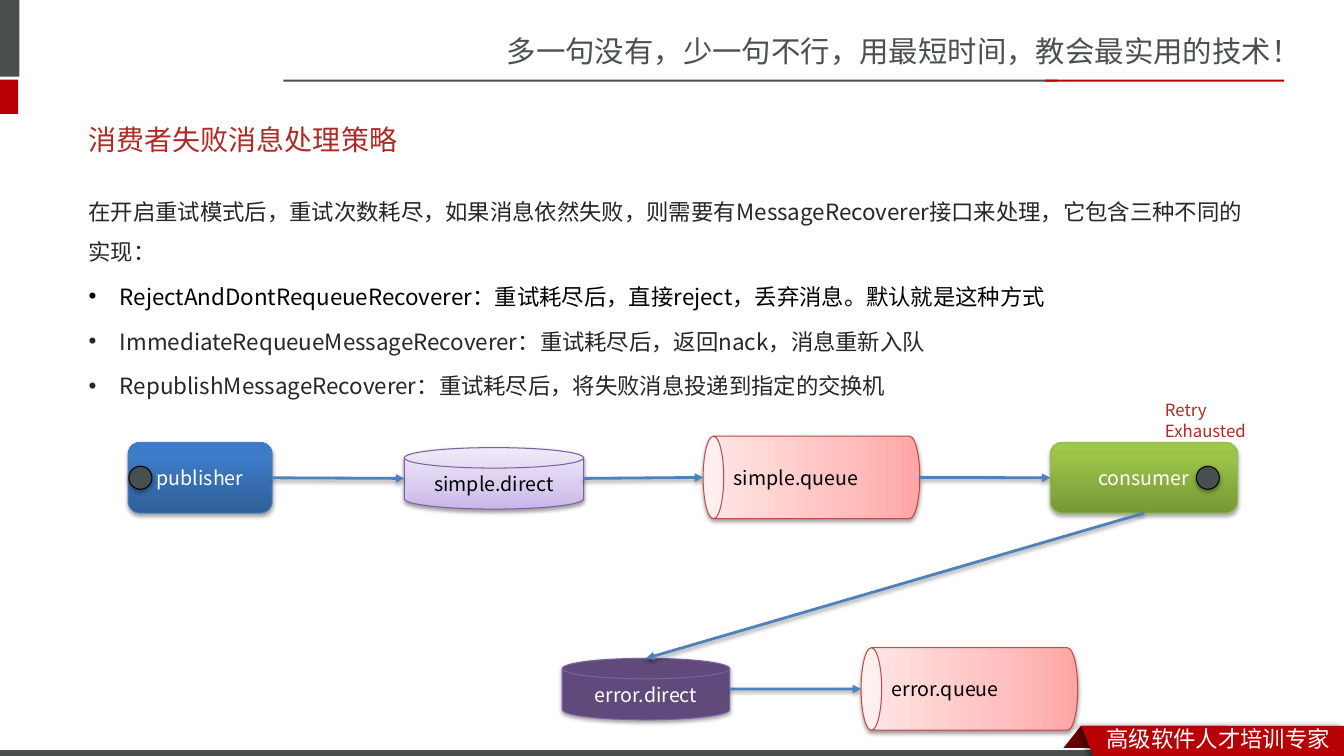
from collections import namedtuple
from dataclasses import dataclass

from lxml import etree
from pptx import Presentation
from pptx.dml.color import RGBColor
from pptx.enum.shapes import MSO_CONNECTOR, MSO_SHAPE
from pptx.enum.text import MSO_ANCHOR, MSO_AUTO_SIZE, PP_ALIGN
from pptx.oxml import parse_xml
from pptx.oxml.ns import nsdecls, qn
from pptx.util import Cm, Pt

STRAIGHT = MSO_CONNECTOR.STRAIGHT
RECT, ROUNDED, OVAL = MSO_SHAPE.RECTANGLE, MSO_SHAPE.ROUNDED_RECTANGLE, MSO_SHAPE.OVAL
CAN, DISK = MSO_SHAPE.CAN, MSO_SHAPE.FLOWCHART_MAGNETIC_DISK
SLANT = MSO_SHAPE.PARALLELOGRAM
TOP, MIDDLE = MSO_ANCHOR.TOP, MSO_ANCHOR.MIDDLE
LEFT, CENTER = PP_ALIGN.LEFT, PP_ALIGN.CENTER
NO_FIT = MSO_AUTO_SIZE.NONE
SIDE_TOP, SIDE_LEFT, SIDE_BOTTOM, SIDE_RIGHT = range(4)

Box = namedtuple("Box", "left top width height")
Node = namedtuple("Node", "shape box")
Shadow = namedtuple("Shadow", "alpha blur dist angle")


@dataclass(frozen=True)
class Theme:
    font: str = "Noto Sans CJK SC"
    slogan_size: float = 21
    title_size: float = 20
    body_size: float = 16
    node_size: float = 14
    note_size: float = 12
    gray: str = "49504F"
    red: str = "B60004"
    dark_red: str = "680000"
    title: str = "AD2A26"
    note: str = "AD2B26"
    body: str = "262626"
    black: str = "000000"
    white: str = "FFFFFF"
    arrow: str = "4F81BD"
    dot: str = "48504F"
    blue: tuple = ((0, "2F5F99"), (80, "3D7CC7"), (100, "3A7CCB"))
    blue_edge: str = "4B7EBC"
    green: tuple = ((0, "779737"), (80, "9BC348"), (100, "9DC746"))
    green_edge: str = "98B955"
    pink: tuple = ((0, "FFA6A5"), (35, "FFC0BF"), (100, "FFE7E7"))
    pink_edge: str = "BF4C48"
    lilac: tuple = ((0, "C9B5E8"), (35, "D8CBEE"), (100, "F0EAF9"))
    purple: str = "604A7B"
    purple_edge: str = "7D60A0"
    strong_shadow: Shadow = Shadow(35, 3.1, 1.8, 90)
    soft_shadow: Shadow = Shadow(38, 3.1, 1.6, 90)
    ribbon_shadow: Shadow = Shadow(40, 4, 3, 180)


THEME = Theme()


def place(box):
    return [Cm(length) for length in box]


def add_run(paragraph, text, size, color):
    run = paragraph.add_run()
    run.text = text
    run.font.name = THEME.font
    run.font.size = Pt(size)
    run.font.color.rgb = RGBColor.from_string(color)
    east_asian = etree.SubElement(run.font._element, qn("a:ea"))
    east_asian.set("typeface", THEME.font)


def cast_shadow(item, shadow):
    """Replace the inherited shadow; None leaves the item without one."""
    effects = etree.SubElement(item._element.spPr, qn("a:effectLst"))
    if shadow:
        effects.append(parse_xml(
            f'<a:outerShdw {nsdecls("a")} blurRad="{Pt(shadow.blur)}" dist="{Pt(shadow.dist)}" '
            f'dir="{shadow.angle * 60000}" rotWithShape="0"><a:srgbClr val="{THEME.black}">'
            f'<a:alpha val="{shadow.alpha * 1000}"/></a:srgbClr></a:outerShdw>'))


def paint(shape, fill, edge=None, shadow=None):
    """Fill with one colour, or with (percent, colour) stops from bottom to top."""
    if isinstance(fill, str):
        shape.fill.solid()
        shape.fill.fore_color.rgb = RGBColor.from_string(fill)
    else:
        stops = "".join(f'<a:gs pos="{percent * 1000}"><a:srgbClr val="{color}"/></a:gs>'
                        for percent, color in fill)
        geometry = shape._element.spPr.find(qn("a:prstGeom"))
        geometry.addnext(parse_xml(
            f'<a:gradFill {nsdecls("a")} rotWithShape="1"><a:gsLst>{stops}</a:gsLst>'
            '<a:lin ang="16200000" scaled="0"/></a:gradFill>'))
    if edge:
        shape.line.color.rgb = RGBColor.from_string(edge)
        shape.line.width = Pt(0.75)
    else:
        shape.line.fill.background()
    cast_shadow(shape, shadow)


def add_block(slide, kind, box, fill, edge=None, shadow=None):
    block = slide.shapes.add_shape(kind, *place(box))
    paint(block, fill, edge, shadow)
    return block


def add_label(slide, box, lines, size, color, wrap=True):
    frame = slide.shapes.add_textbox(*place(box)).text_frame
    frame.word_wrap = wrap
    for index, line in enumerate(lines):
        paragraph = frame.add_paragraph() if index else frame.paragraphs[0]
        add_run(paragraph, line, size, color)


def add_node(slide, kind, box, text, color, fill, edge, shadow):
    """Add a labelled node; a can is laid on its side within the box."""
    upright = box
    if kind == CAN:
        shift = (box.width - box.height) / 2
        upright = Box(box.left + shift, box.top - shift, box.height, box.width)
    shape = add_block(slide, kind, upright, fill, edge, shadow)
    frame = shape.text_frame
    frame.vertical_anchor = MIDDLE
    if kind == CAN:
        shape.rotation = 270
        frame._txBody.bodyPr.set("vert", "eaVert")
    frame.paragraphs[0].alignment = CENTER
    add_run(frame.paragraphs[0], text, THEME.node_size, color)
    return Node(shape, box)


def side_middle(box, side):
    across, down = ((0.5, 0), (0, 0.5), (0.5, 1), (1, 0.5))[side]
    return Cm(box.left + across * box.width), Cm(box.top + down * box.height)


def add_arrow(slide, source, target, leave=SIDE_RIGHT, arrive=SIDE_LEFT):
    arrow = slide.shapes.add_connector(
        STRAIGHT, *side_middle(source.box, leave), *side_middle(target.box, arrive))
    if source.shape.auto_shape_type == ROUNDED:
        arrow.begin_connect(source.shape, leave)
    if target.shape.auto_shape_type == ROUNDED:
        arrow.end_connect(target.shape, arrive)
    arrow.line.color.rgb = RGBColor.from_string(THEME.arrow)
    arrow.line.width = Pt(2)
    etree.SubElement(arrow.line._get_or_add_ln(), qn("a:tailEnd")).set("type", "triangle")
    cast_shadow(arrow, THEME.soft_shadow)


def add_frame(slide):
    """Draw the header and footer decoration."""
    fold = add_block(slide, SLANT, Box(26.64, 18.29, 4.27, 0.76), THEME.dark_red)
    fold.adjustments[0] = 0.796
    for box, color in (
        (Box(0, 18.85, 33.87, 0.28), THEME.white),
        (Box(-0.15, 0, 0.64, 1.93), THEME.gray),
        (Box(-0.15, 2.01, 0.61, 0.86), THEME.red),
        (Box(7.14, 2.01, 19.51, 0.05), THEME.gray),
        (Box(26.34, 2.01, 6.02, 0.05), THEME.red),
        (Box(0, 18.9, 27.91, 0.23), THEME.gray),
    ):
        add_block(slide, RECT, box, color)
    outline = slide.shapes.build_freeform(Cm(27.25), Cm(18.29))
    outline.add_line_segments([(Cm(33.87), Cm(18.29)), (Cm(33.87), Cm(19.15)), (Cm(27.58), Cm(19.13))])
    paint(outline.convert_to_shape(), THEME.red, shadow=THEME.ribbon_shadow)
    add_label(slide, Box(12.52, 0.71, 21.36, 1.19),
              ["多一句没有，少一句不行，用最短时间，教会最实用的技术！"], THEME.slogan_size, THEME.gray)
    add_label(slide, Box(27.64, 18.16, 6.22, 0.94), ["高级软件人才培训专家"], THEME.body_size, THEME.white)


def set_placeholder(holder, box, anchor):
    holder.left, holder.top, holder.width, holder.height = place(box)
    holder.text_frame.auto_size = NO_FIT
    holder.text_frame.vertical_anchor = anchor
    return holder.text_frame


def write_text(slide):
    title = set_placeholder(slide.shapes.title, Box(1.98, 2.79, 29.72, 1.45), MIDDLE).paragraphs[0]
    title.alignment = LEFT
    add_run(title, "消费者失败消息处理策略", THEME.title_size, THEME.title)
    body = set_placeholder(slide.placeholders[1], Box(1.98, 4.52, 29.72, 6.99), TOP)
    for index, (text, color) in enumerate((
        ("在开启重试模式后，重试次数耗尽，如果消息依然失败，则需要有MessageRecoverer接口来处理，它包含三种不同的实现：", THEME.body),
        ("RejectAndDontRequeueRecoverer：重试耗尽后，直接reject，丢弃消息。默认就是这种方式", THEME.black),
        ("ImmediateRequeueMessageRecoverer：重试耗尽后，返回nack，消息重新入队", THEME.body),
        ("RepublishMessageRecoverer：重试耗尽后，将失败消息投递到指定的交换机", THEME.body),
    )):
        paragraph = body.add_paragraph() if index else body.paragraphs[0]
        paragraph.line_spacing = 1.5
        indent = Cm(0.79) if index else 0
        properties = paragraph._p.get_or_add_pPr()
        properties.set("marL", str(indent))
        properties.set("indent", str(-indent))
        if index:
            etree.SubElement(properties, qn("a:buChar")).set("char", "•")
        else:
            etree.SubElement(properties, qn("a:buNone"))
        add_run(paragraph, text, THEME.body_size, color)


def draw_flow(slide):
    strong, soft = THEME.strong_shadow, THEME.soft_shadow
    publisher = add_node(slide, ROUNDED, Box(3.23, 11.15, 3.63, 1.78), "publisher",
                         THEME.white, THEME.blue, THEME.blue_edge, strong)
    consumer = add_node(slide, ROUNDED, Box(26.47, 11.15, 4.72, 1.78), "consumer",
                        THEME.white, THEME.green, THEME.green_edge, strong)
    simple_direct = add_node(slide, DISK, Box(10.19, 11.28, 4.52, 1.55), "simple.direct",
                             THEME.black, THEME.lilac, THEME.purple_edge, soft)
    error_direct = add_node(slide, DISK, Box(14.17, 16.59, 4.22, 1.55), "error.direct",
                            THEME.white, THEME.purple, THEME.purple_edge, soft)
    simple_queue, error_queue = (
        add_node(slide, CAN, Box(left, top, 5.46, 2.08), text, THEME.black, THEME.pink, THEME.pink_edge, soft)
        for left, top, text in ((17.72, 10.99, "simple.queue"), (21.7, 16.32, "error.queue")))
    for source, target in ((publisher, simple_direct), (simple_direct, simple_queue),
                           (simple_queue, consumer), (error_direct, error_queue)):
        add_arrow(slide, source, target)
    add_arrow(slide, consumer, error_direct, SIDE_BOTTOM, SIDE_TOP)
    for left in (3.25, 30.15):
        add_block(slide, OVAL, Box(left, 11.75, 0.58, 0.58), THEME.dot, THEME.black, strong)
    add_label(slide, Box(29.11, 9.96, 2.84, 1.27), ["Retry", "Exhausted"],
              THEME.note_size, THEME.note, wrap=False)


def main():
    deck = Presentation()
    deck.slide_width, deck.slide_height = Cm(33.87), Cm(19.05)
    slide = deck.slides.add_slide(deck.slide_layouts[1])
    add_frame(slide)
    write_text(slide)
    draw_flow(slide)
    deck.save("out.pptx")


if __name__ == "__main__":
    main()
